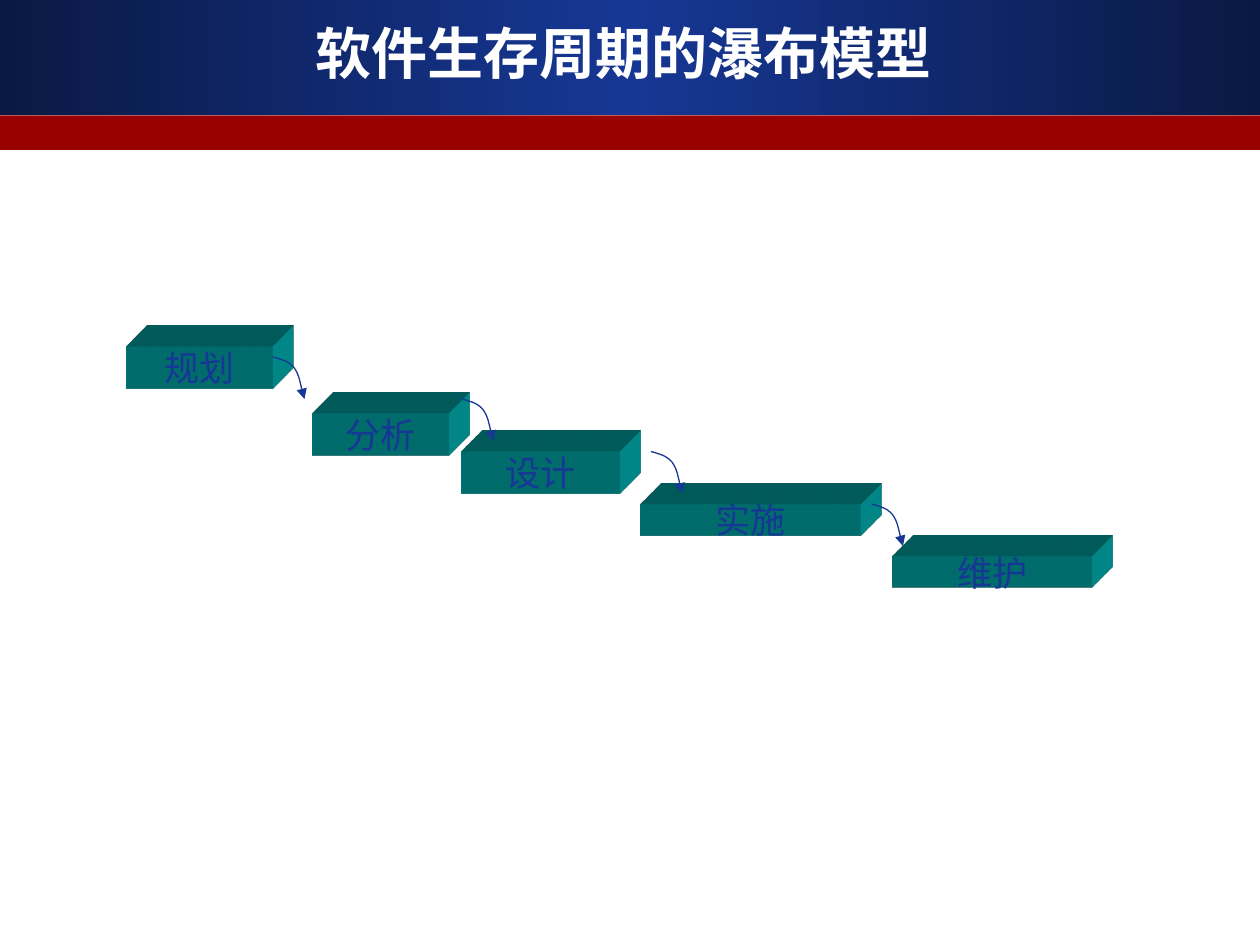
from lxml import etree
from pptx import Presentation
from pptx.dml.color import RGBColor
from pptx.enum.shapes import MSO_SHAPE as Shape
from pptx.enum.text import MSO_ANCHOR as Anchor, PP_ALIGN as Align
from pptx.oxml import parse_xml
from pptx.oxml.ns import nsdecls, qn
from pptx.util import Inches, Pt

COLORS = {"navy": "163794", "night": "0A1944", "red": "990000",
          "teal": "009999", "white": "FFFFFF"}
CELL = Inches(1) / 12  # the diagram grid has twelve cells to the inch

# Stage label and its block: column, row, columns wide, rows high
STAGES = [
    ("规划", (12, 33, 14, 4)),
    ("分析", (29.75, 39.35, 13, 4)),
    ("设计", (44, 43, 15, 4)),
    ("实施", (61, 48, 21, 3)),
    ("维护", (85, 53, 19, 3)),
]
# Column and row where each arrow starts
ARROW_STARTS = [(26, 34), (44, 38), (62, 43), (83, 48)]
# Two Bezier segments of an arrow, in cells from its start
ARROW_CURVE = [(0.7, 0.2), (1.45, 0.35), (2, 1),
               (2.5, 1.7), (2.8, 3.45), (3, 4)]


def color(name):
    return RGBColor.from_string(COLORS[name])


def cells(*values):
    return [round(value * CELL) for value in values]


def add_block(slide, preset, box):
    block = slide.shapes.add_shape(preset, *box)
    block.shadow.inherit = False
    block.line.fill.background()
    return block


def add_header(slide, width, height):
    """Gradient band, red stripe and the title across the given box."""
    band = add_block(slide, Shape.RECTANGLE, (0, 0, width, round(height * 0.77)))
    band.fill.gradient()
    band.fill.gradient_angle = 0
    stops = band.fill._fill._gradFill.find(qn("a:gsLst"))
    for stop in list(stops):
        stops.remove(stop)
    for position, name in ((0, "night"), (50, "navy"), (100, "night")):
        stops.append(parse_xml(
            f'<a:gs {nsdecls("a")} pos="{position * 1000}">'
            f'<a:srgbClr val="{COLORS[name]}"/></a:gs>'))

    stripe = add_block(slide, Shape.RECTANGLE,
                       (0, round(height * 0.77), width, round(height * 0.23)))
    stripe.fill.solid()
    stripe.fill.fore_color.rgb = color("red")

    title = slide.shapes.title
    title.left, title.top = round(width * 0.07), 0
    title.width, title.height = round(width * 0.85), round(height * 0.7)
    title.text_frame.text = "软件生存周期的瀑布模型"
    title.text_frame.vertical_anchor = Anchor.MIDDLE
    heading = title.text_frame.paragraphs[0]
    heading.alignment = Align.CENTER
    heading.font.name, heading.font.size = "DejaVu Sans", Pt(32)
    heading.font.bold = True
    heading.font.color.rgb = color("white")
    slide.shapes._spTree.append(title._element)  # in front of the band


def extrude(block):
    """Give a block its oblique depth towards the top right."""
    properties = block._element.spPr
    properties.append(parse_xml(
        f'<a:scene3d {nsdecls("a")}><a:camera prst="legacyObliqueTopRight"/>'
        '<a:lightRig rig="legacyFlat3" dir="b"/></a:scene3d>'))
    properties.append(parse_xml(
        f'<a:sp3d {nsdecls("a")} extrusionH="430200" prstMaterial="legacyMatte">'
        f'<a:extrusionClr><a:srgbClr val="{COLORS["teal"]}"/></a:extrusionClr>'
        '</a:sp3d>'))


def add_stage(slide, label, box):
    stage = add_block(slide, Shape.FLOWCHART_PROCESS, box)
    stage.fill.solid()
    stage.fill.fore_color.rgb = color("teal")
    extrude(stage)
    frame = stage.text_frame
    frame.text, frame.word_wrap = label, False
    frame.vertical_anchor = Anchor.MIDDLE
    caption = frame.paragraphs[0]
    caption.alignment = Align.CENTER
    caption.font.name, caption.font.size = "Times New Roman", Pt(20)
    caption.font.color.rgb = color("navy")


def add_arrow(slide, column, row):
    """Curved arrow stepping down from the given grid point."""
    builder = slide.shapes.build_freeform(*cells(column, row))
    builder.add_line_segments(
        [cells(column + dx, row + dy) for dx, dy in ARROW_CURVE], close=False)
    arrow = builder.convert_to_shape()
    arrow.shadow.inherit = False
    arrow.fill.background()
    arrow.line.color.rgb = color("navy")
    arrow.line.width = Pt(0.75)

    # Every three points become one cubic Bezier segment
    outline = next(arrow._element.iter(qn("a:path")))
    segments = outline.findall(qn("a:lnTo"))
    for first in range(0, len(segments), 3):
        curve = etree.SubElement(outline, qn("a:cubicBezTo"))
        for segment in segments[first:first + 3]:
            curve.append(segment[0])
            outline.remove(segment)
    etree.SubElement(arrow.line._get_or_add_ln(), qn("a:tailEnd"), type="triangle")


def add_waterfall(slide):
    for label, box in STAGES:
        add_stage(slide, label, cells(*box))
    for start in ARROW_STARTS:
        add_arrow(slide, *start)


def main():
    deck = Presentation()
    deck.slide_width, deck.slide_height = Inches(10), Inches(7.5)
    slide = deck.slides.add_slide(deck.slide_layouts[5])
    slide.background.fill.solid()
    slide.background.fill.fore_color.rgb = color("white")
    add_header(slide, deck.slide_width, Inches(1.19))
    add_waterfall(slide)
    deck.save("out.pptx")


if __name__ == "__main__":
    main()
